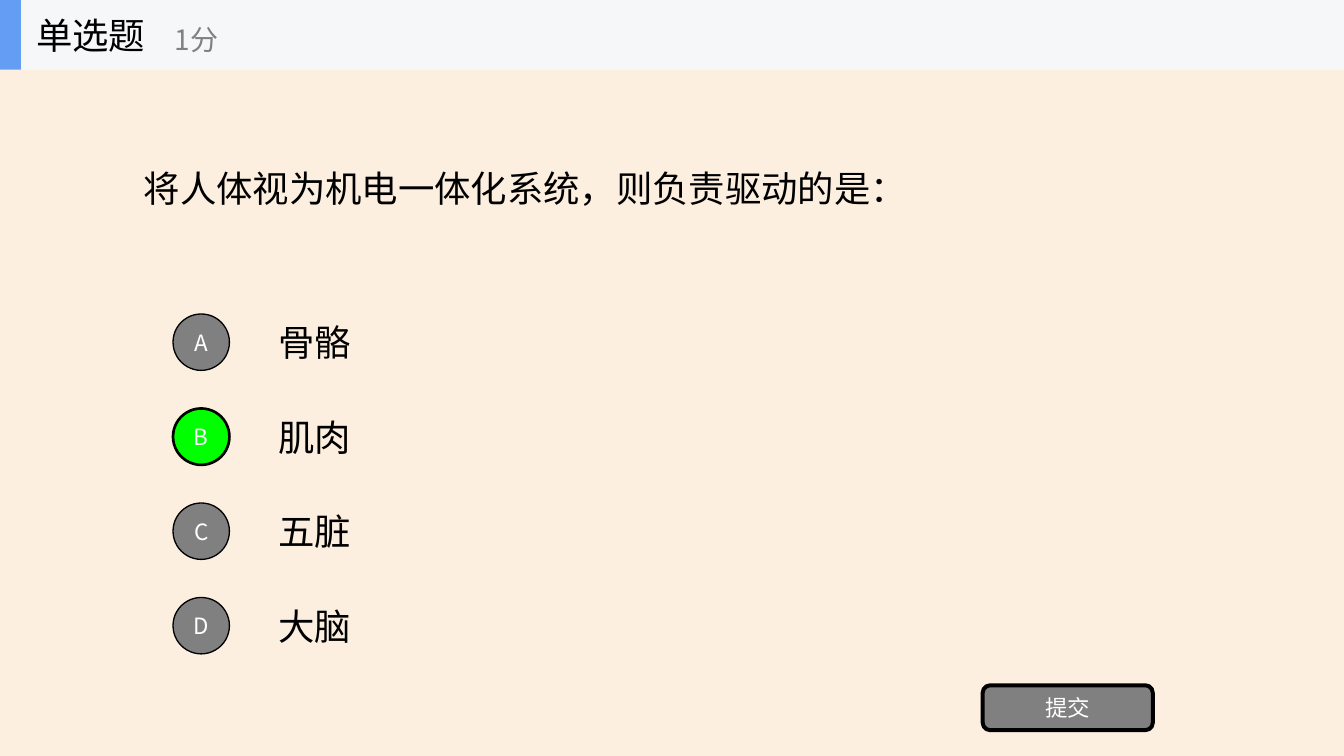
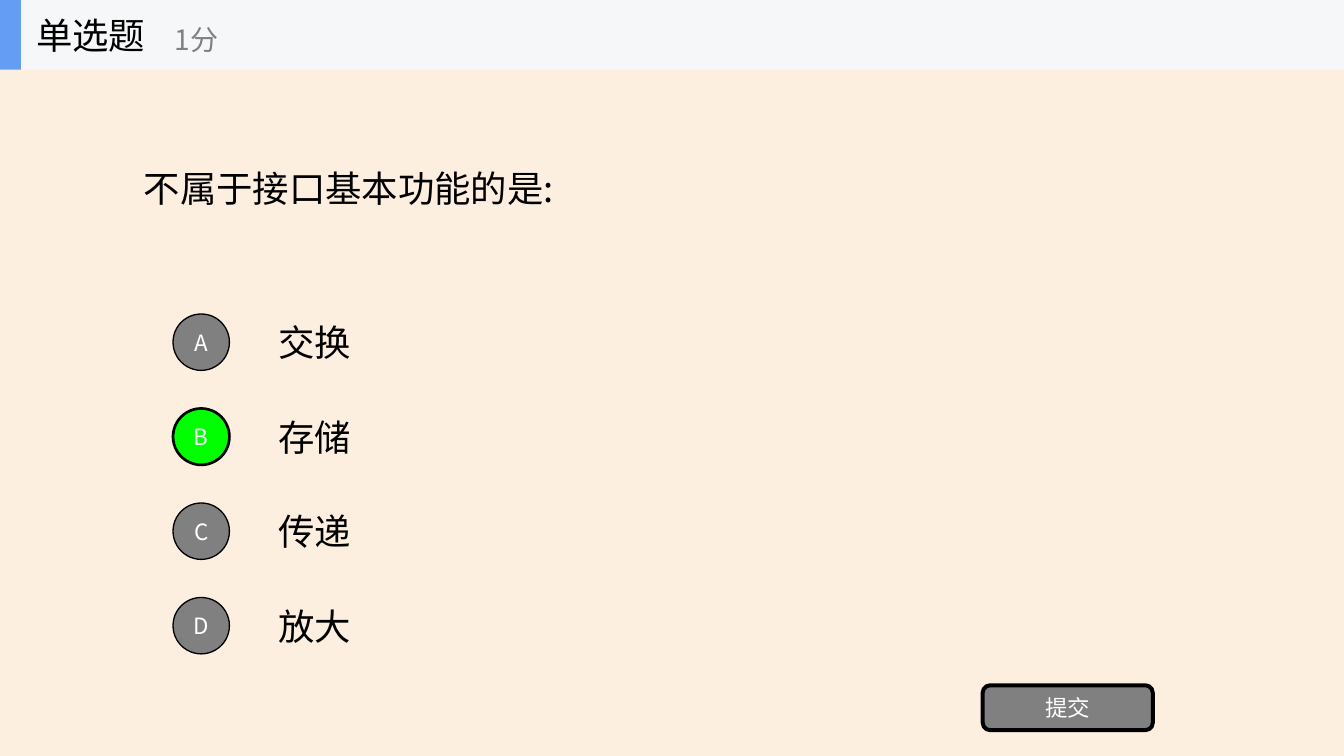
"""Build two single-choice quiz slides that share a header band, option rows and a submit button."""
from pptx import Presentation
from pptx.dml.color import RGBColor
from pptx.enum.shapes import MSO_SHAPE
from pptx.enum.text import MSO_ANCHOR, MSO_AUTO_SIZE, PP_ALIGN
from pptx.oxml.ns import qn
from pptx.util import Inches, Pt
from lxml import etree

RECT, ROUND, OVAL = MSO_SHAPE.RECTANGLE, MSO_SHAPE.ROUNDED_RECTANGLE, MSO_SHAPE.OVAL
LEFT, CENTER = PP_ALIGN.LEFT, PP_ALIGN.CENTER
MIDDLE, NO_FIT = MSO_ANCHOR.MIDDLE, MSO_AUTO_SIZE.NONE

FONT = "Noto Sans CJK SC"
BLACK, WHITE, GRAY, GREEN = "000000", "FFFFFF", "808080", "00FF00"
CREAM, BAND, BLUE = "FCEFE0", "F6F7F8", "639EF4"
W, H = 14.06, 7.91
BAND_H = 0.73
ROW, ROW_H, DOT = H / 8, 0.74, 0.59
FIRST_ROW = 3.58

QUESTIONS = [
    ("将人体视为机电一体化系统，则负责驱动的是：", ["骨骼", "肌肉", "五脏", "大脑"], "B"),
    ("不属于接口基本功能的是:", ["交换", "存储", "传递", "放大"], "B"),
]


def write(sp, text, size=27.4, color=BLACK, align=LEFT, inset=0.1):
    tf = sp.text_frame
    tf.word_wrap = True
    tf.auto_size = NO_FIT
    tf.vertical_anchor = MIDDLE
    tf.margin_left = tf.margin_right = Inches(inset)
    tf.margin_top = tf.margin_bottom = Inches(inset / 2)
    p = tf.paragraphs[0]
    p.alignment = align
    r = p.add_run()
    r.text = text
    r.font.size = Pt(size)
    r.font.color.rgb = RGBColor.from_string(color)
    r.font.name = FONT
    etree.SubElement(r.font._element, qn("a:ea"), typeface=FONT) if hasattr(r.font, "_element") else \
        etree.SubElement(r._r.get_or_add_rPr(), qn("a:ea"), typeface=FONT)


def block(s, kind, x, y, w, h, fill, line=0):
    sp = s.shapes.add_shape(kind, Inches(x), Inches(y), Inches(w), Inches(h))
    sp.shadow.inherit = False
    sp.fill.solid()
    sp.fill.fore_color.rgb = RGBColor.from_string(fill)
    if line:
        sp.line.color.rgb = RGBColor.from_string(BLACK)
        sp.line.width = Pt(line)
    else:
        sp.line.fill.background()
    return sp


prs = Presentation()
prs.slide_width, prs.slide_height = Inches(W), Inches(H)
bg = prs.slide_master.background.fill
bg.solid()
bg.fore_color.rgb = RGBColor.from_string(CREAM)

for question, options, answer in QUESTIONS:
    s = prs.slides.add_slide(prs.slide_layouts[5])
    title = s.shapes.title
    title.left, title.top = Inches(0.1 * W), Inches(BAND_H)
    title.width, title.height = Inches(0.8 * W), Inches(2.47)
    write(title, question)

    for i, (letter, option) in enumerate(zip("ABCD", options)):
        mid = FIRST_ROW + i * ROW
        box = s.shapes.add_textbox(Inches(0.2 * W), Inches(mid - ROW_H / 2), Inches(0.7 * W), Inches(ROW_H))
        write(box, option)
        fill, line = (GREEN, 2) if letter == answer else (GRAY, 1)
        dot = block(s, OVAL, 1.81, mid - DOT / 2, DOT, DOT, fill, line)
        write(dot, letter, size=16.9, color=WHITE, align=CENTER, inset=0)

    button = block(s, ROUND, 10.28, 7.17, 1.78, 0.47, GRAY, 3)
    write(button, "提交", size=16.9, color=WHITE, align=CENTER, inset=0)

    block(s, RECT, 0, 0, W, BAND_H, BAND)
    block(s, RECT, 0, 0, W / 64, BAND_H, BLUE)
    kind = s.shapes.add_textbox(Inches(0.28), 0, Inches(2.2), Inches(BAND_H))
    write(kind, "单选题")
    points = s.shapes.add_textbox(Inches(1.73), Inches(0.12), Inches(2.64), Inches(0.59))
    write(points, "1分", size=21.1, color=GRAY)

prs.save("out.pptx")
